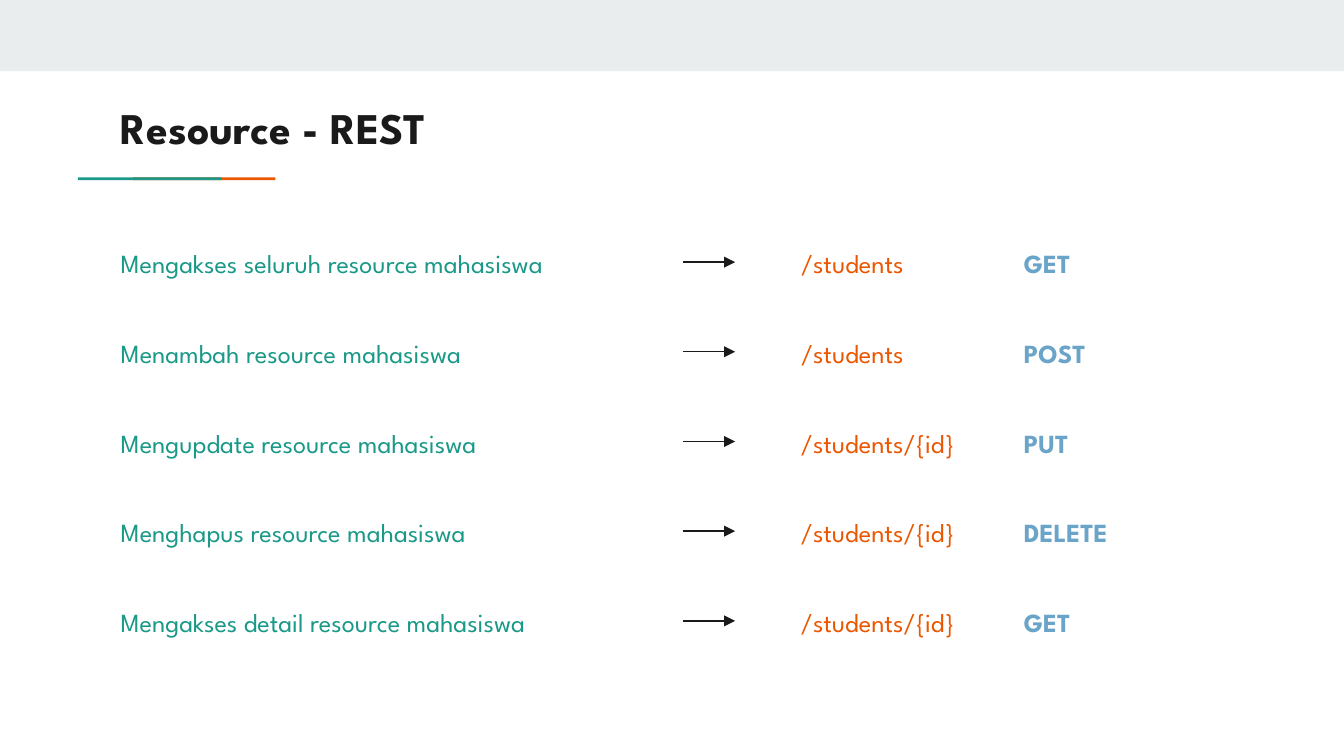
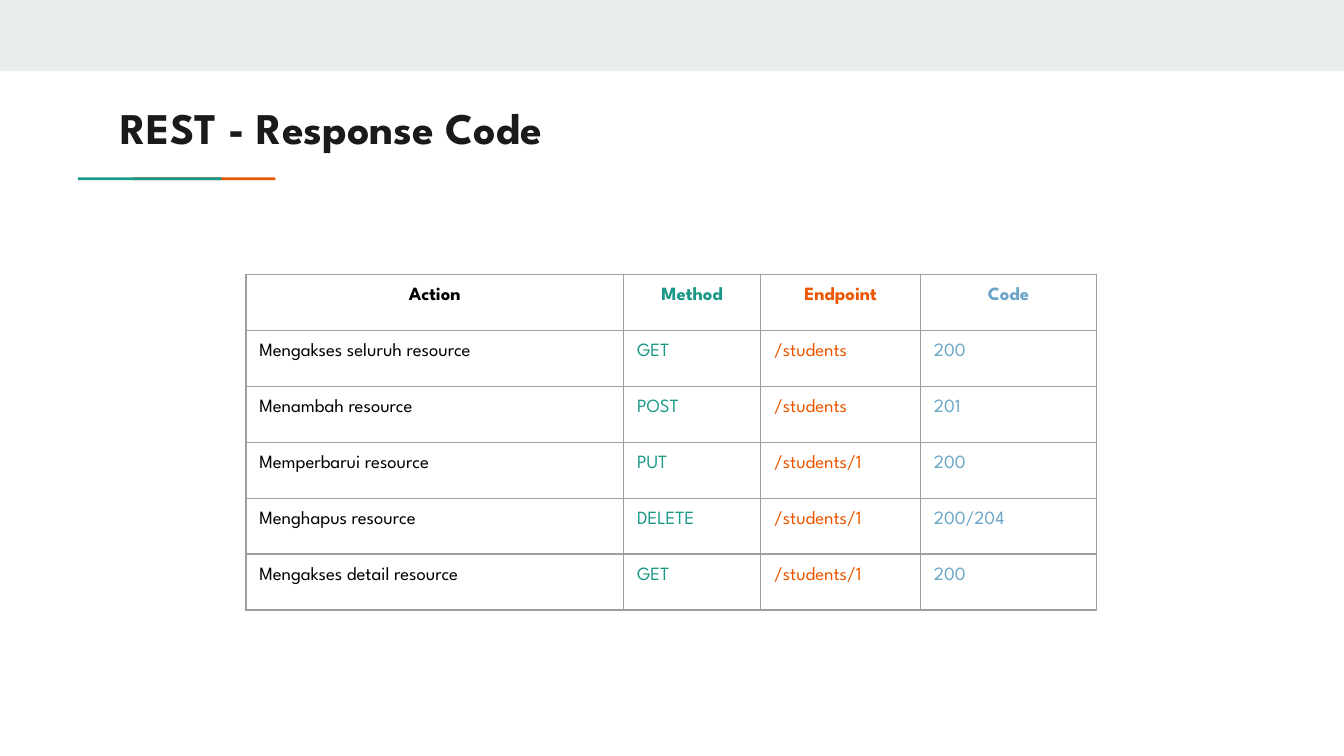
from lxml import etree
from pptx import Presentation
from pptx.dml.color import RGBColor
from pptx.enum.shapes import MSO_CONNECTOR as CONN, MSO_SHAPE as SHAPE
from pptx.enum.text import MSO_ANCHOR as ANCHOR, MSO_AUTO_SIZE as FIT, PP_ALIGN as ALIGN
from pptx.oxml.ns import qn
from pptx.util import Inches, Pt

FONT = "League Spartan"
COLORS = {
    "band": "E9EDEE", "green": "1A9988", "orange": "EB5600", "blue": "6AA4C8",
    "ink": "1A1A1A", "black": "000000", "grid": "9E9E9E",
}

# Action, its box width, endpoint, its box width, method, its box width
REQUESTS = [
    ("Mengakses seluruh resource mahasiswa", 3.74, "/students", 1.08, "GET", 0.66),
    ("Menambah resource mahasiswa", 3.52, "/students", 1.08, "POST", 0.81),
    ("Mengupdate resource mahasiswa", 3.52, "/students/{id}", 1.36, "PUT", 0.81),
    ("Menghapus resource mahasiswa", 3.52, "/students/{id}", 1.36, "DELETE", 0.95),
    ("Mengakses detail resource mahasiswa", 3.74, "/students/{id}", 1.36, "GET", 0.95),
]
RESPONSES = [
    ("Action", "Method", "Endpoint", "Code"),
    ("Mengakses seluruh resource", "GET", "/students", "200"),
    ("Menambah resource", "POST", "/students", "201"),
    ("Memperbarui resource", "PUT", "/students/1", "200"),
    ("Menghapus resource", "DELETE", "/students/1", "200/204"),
    ("Mengakses detail resource", "GET", "/students/1", "200"),
]
RESPONSE_COLUMNS = [(2.81, "black"), (1.02, "green"), (1.19, "orange"), (1.31, "blue")]


def rgb(name):
    return RGBColor.from_string(COLORS[name])


def set_margins(obj):
    obj.margin_left = obj.margin_right = Inches(0.1)
    obj.margin_top = obj.margin_bottom = Inches(0.1)


def write(tf, text, size, color, bold=False, align=ALIGN.LEFT):
    tf.text = text
    p = tf.paragraphs[0]
    p.alignment = align
    p.font.name, p.font.size, p.font.bold = FONT, Pt(size), bold
    p.font.color.rgb = rgb(color)


def add_bar(s, x, y, w, h, color):
    sp = s.shapes.add_shape(SHAPE.RECTANGLE, Inches(x), Inches(y), Inches(w), Inches(h))
    sp.shadow.inherit = False
    sp.fill.solid()
    sp.fill.fore_color.rgb = rgb(color)
    sp.line.fill.background()


def add_slide(prs, title):
    """Title-only slide with the top band and the two-colour rule."""
    s = prs.slides.add_slide(prs.slide_layouts[5])
    add_bar(s, 0, 0, 10, 0.53, "band")
    add_bar(s, 0.99, 1.32, 1.06, 0.02, "orange")
    add_bar(s, 0.58, 1.32, 1.07, 0.02, "green")

    sp = s.shapes.title
    sp.left, sp.top, sp.width, sp.height = Inches(0.8), Inches(0.65), Inches(8.41), Inches(0.59)
    tf = sp.text_frame
    set_margins(tf)
    tf.auto_size = FIT.NONE
    tf.vertical_anchor = ANCHOR.BOTTOM
    write(tf, title, 23.4, "ink", bold=True)
    return s


def add_label(s, x, y, w, text, color, bold=False):
    sp = s.shapes.add_textbox(Inches(x), Inches(y), Inches(w), Inches(0.44))
    tf = sp.text_frame
    set_margins(tf)
    tf.word_wrap = True
    tf.vertical_anchor = ANCHOR.MIDDLE
    write(tf, text, 14, color, bold)


def add_arrow(s, x1, x2, y):
    cn = s.shapes.add_connector(CONN.STRAIGHT, Inches(x1), Inches(y), Inches(x2), Inches(y))
    cn.line.color.rgb = rgb("ink")
    cn.line.width = Pt(0.75)
    etree.SubElement(cn.line._get_or_add_ln(), qn("a:tailEnd"), type="triangle")
    etree.SubElement(cn._element.spPr, qn("a:effectLst"))


def set_borders(cell):
    tc_pr = cell._tc.get_or_add_tcPr()
    for i, side in enumerate(("a:lnL", "a:lnR", "a:lnT", "a:lnB")):
        ln = etree.Element(qn(side), w=str(Pt(0.75)))
        fill = etree.SubElement(ln, qn("a:solidFill"))
        etree.SubElement(fill, qn("a:srgbClr"), val=COLORS["grid"])
        tc_pr.insert(i, ln)


def add_response_table(s):
    width = sum(w for w, _ in RESPONSE_COLUMNS)
    table = s.shapes.add_table(len(RESPONSES), len(RESPONSE_COLUMNS), Inches(1.83),
                               Inches(2.04), Inches(width), Inches(2.5)).table
    table.first_row = table.horz_banding = False
    for c, (w, color) in enumerate(RESPONSE_COLUMNS):
        table.columns[c].width = Inches(w)
        for r, row in enumerate(RESPONSES):
            cell = table.cell(r, c)
            cell.fill.background()
            set_margins(cell)
            set_borders(cell)
            header = r == 0
            write(cell.text_frame, row[c], 10, color, header,
                  ALIGN.CENTER if header else ALIGN.LEFT)


def main():
    prs = Presentation()
    # Widescreen, 16:9
    prs.slide_width = Inches(10)
    prs.slide_height = Inches(10) * 9 // 16

    # Requests: action, arrow, endpoint, method
    s = add_slide(prs, "Resource - REST")
    for i, (action, action_w, endpoint, endpoint_w, method, method_w) in enumerate(REQUESTS):
        y = 1.74 + i * 2.67 / 4
        add_label(s, 0.8, y, action_w, action, "green")
        add_arrow(s, 5.08, 5.47, y + 0.21)
        add_label(s, 5.86, y, endpoint_w, endpoint, "orange")
        add_label(s, 7.52, y, method_w, method, "blue", bold=True)

    # Response codes
    s = add_slide(prs, "REST - Response Code")
    add_response_table(s)

    prs.save("out.pptx")


if __name__ == "__main__":
    main()
